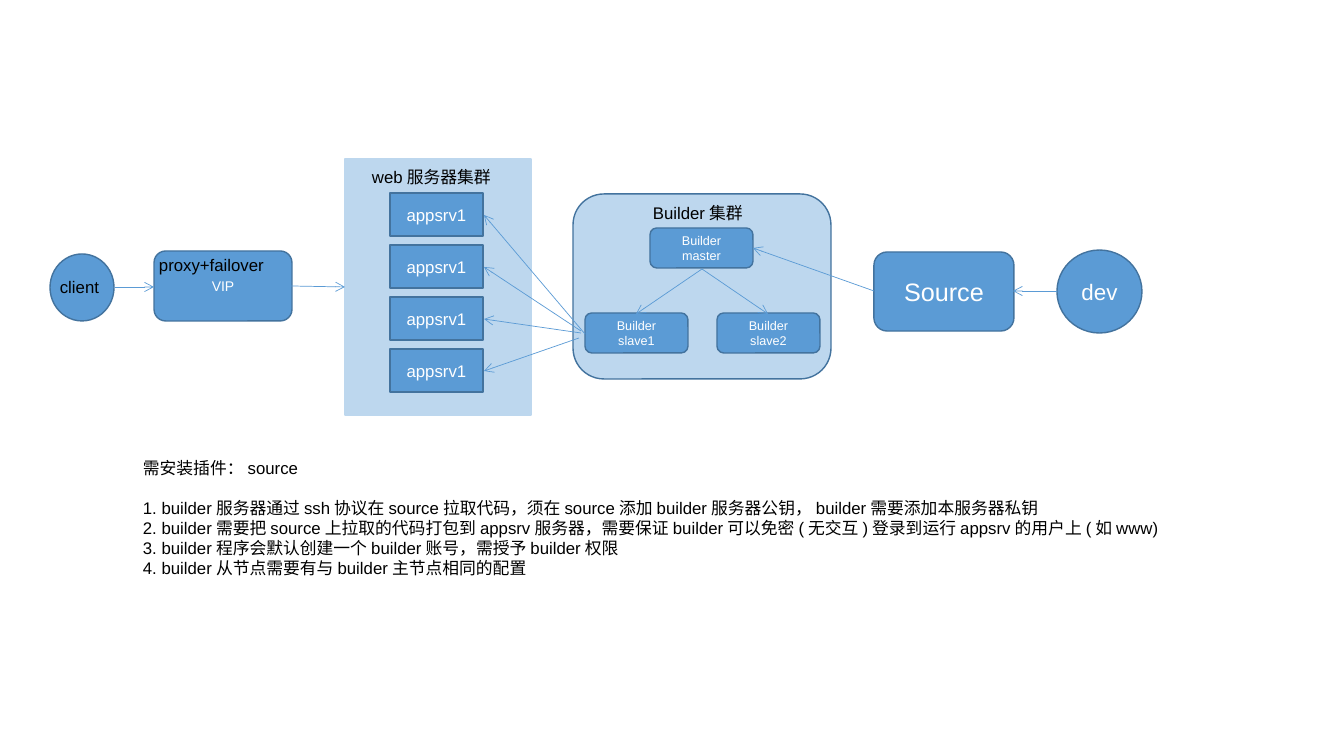
from dataclasses import dataclass

from lxml import etree
from pptx import Presentation
from pptx import util as u
from pptx.dml.color import RGBColor
from pptx.enum import shapes, text
from pptx.oxml import ns

KIND = shapes.MSO_SHAPE


@dataclass(frozen=True)
class Theme:
    """Colours, font and type sizes of the slide."""
    font: str = "Arial"
    blue: str = "5B9BD5"
    edge: str = "43739E"
    pale: str = "BDD7EE"
    ink: str = "000000"
    white: str = "FFFFFF"
    tiny: int = 9
    small: int = 10
    body: int = 12
    big: int = 16
    huge: int = 18


T = Theme()


def px(n):
    """Turn pixels into EMU."""
    return u.Emu(round(n * 914400 / 100.8))


def rgb(code):
    """Give the colour of a hex code."""
    return RGBColor.from_string(code)


def style(frame, size, color, align):
    """Format every run of a text frame."""
    for para in frame.paragraphs:
        para.alignment = align
        for run in para.runs:
            run.font.name = T.font
            run.font.size = u.Pt(size)
            run.font.color.rgb = rgb(color)


def node(slide, kind, at, words="", size=T.body, fill=T.blue, edge=T.edge):
    """Add a filled shape with centred text."""
    shape = slide.shapes.add_shape(kind, *map(px, at))
    shape.shadow.inherit = False
    shape.fill.solid()
    shape.fill.fore_color.rgb = rgb(fill)
    shape.line.color.rgb = rgb(edge)
    shape.line.width = u.Pt(1)
    if words:
        frame = shape.text_frame
        frame.text = words
        frame.vertical_anchor = text.MSO_ANCHOR.MIDDLE
        style(frame, size, T.white, text.PP_ALIGN.CENTER)


def label(slide, at, words):
    """Add a black text box and return its frame."""
    frame = slide.shapes.add_textbox(*map(px, at)).text_frame
    frame.word_wrap = True
    frame.text = words
    style(frame, T.body, T.ink, text.PP_ALIGN.LEFT)
    return frame


def arrow(slide, start, end):
    """Add a thin line with an open arrowhead at its end."""
    line = slide.shapes.add_connector(
        shapes.MSO_CONNECTOR.STRAIGHT, *map(px, (*start, *end)))
    line.line.color.rgb = rgb(T.blue)
    line.line.width = u.Pt(0.5)
    etree.SubElement(line.line._get_or_add_ln(), ns.qn("a:tailEnd"), type="arrow")
    etree.SubElement(line._element.spPr, ns.qn("a:effectLst"))


def entry(slide):
    """Draw the client and the proxy."""
    node(slide, KIND.OVAL, (50, 254, 64, 67))
    label(slide, (50, 272, 65, 30), "client")
    node(slide, KIND.ROUNDED_RECTANGLE, (154, 251, 138, 70), "VIP", T.small)
    label(slide, (149, 250, 178, 92), "proxy+failover")
    arrow(slide, (115, 287), (154, 287))
    arrow(slide, (291, 286), (345, 287))


def web(slide):
    """Draw the web cluster and the arrows that deploy to it."""
    node(slide, KIND.RECTANGLE, (345, 159, 186, 256), fill=T.pale, edge=T.pale)
    label(slide, (362, 162, 149, 30), "web服务器集群")
    starts = (585, 334), (581, 331), (581, 333), (579, 338)
    for i, start in enumerate(starts):
        top = 193 + 52 * i
        node(slide, KIND.RECTANGLE, (390, top, 93, 43), "appsrv1")
        arrow(slide, start, (484, top + 22))


def build(slide):
    """Draw the build cluster."""
    node(slide, KIND.ROUNDED_RECTANGLE, (573, 194, 258, 185), fill=T.pale)
    label(slide, (643, 198, 125, 30), "Builder集群")
    spots = ("master", 650, 228), ("slave1", 585, 313), ("slave2", 717, 313)
    for role, left, top in spots:
        node(slide, KIND.ROUNDED_RECTANGLE, (left, top, 103, 40),
             f"Builder\n{role}", T.tiny)
    for left in (636, 768):
        arrow(slide, (702, 269), (left, 314))


def code(slide):
    """Draw the code host and the developer."""
    node(slide, KIND.ROUNDED_RECTANGLE, (874, 252, 140, 79), "Source", T.huge)
    node(slide, KIND.OVAL, (1057, 250, 85, 83), "dev", T.big)
    arrow(slide, (1057, 291), (1013, 291))
    arrow(slide, (874, 291), (753, 248))


def notes(slide):
    """Write the setup steps."""
    lines = (
        "需安装插件：source",
        "1. builder服务器通过ssh协议在source拉取代码，须在source添加builder服务器公钥，builder需要添加本服务器私钥",
        "2. builder需要把source上拉取的代码打包到appsrv服务器，需要保证builder可以免密(无交互)登录到运行appsrv的用户上(如www)",
        "3. builder程序会默认创建一个builder账号，需授予builder权限",
        "4. builder从节点需要有与builder主节点相同的配置",
    )
    frame = label(slide, (133, 453, 1072, 132), "\n".join(lines))
    frame.paragraphs[1].space_before = u.Pt(14)


def main():
    """Build and save the slide."""
    deck = Presentation()
    deck.slide_width, deck.slide_height = px(1344), px(756)
    slide = deck.slides.add_slide(deck.slide_layouts[6])
    for draw in (build, web, entry, code, notes):
        draw(slide)
    deck.save("out.pptx")


main()
